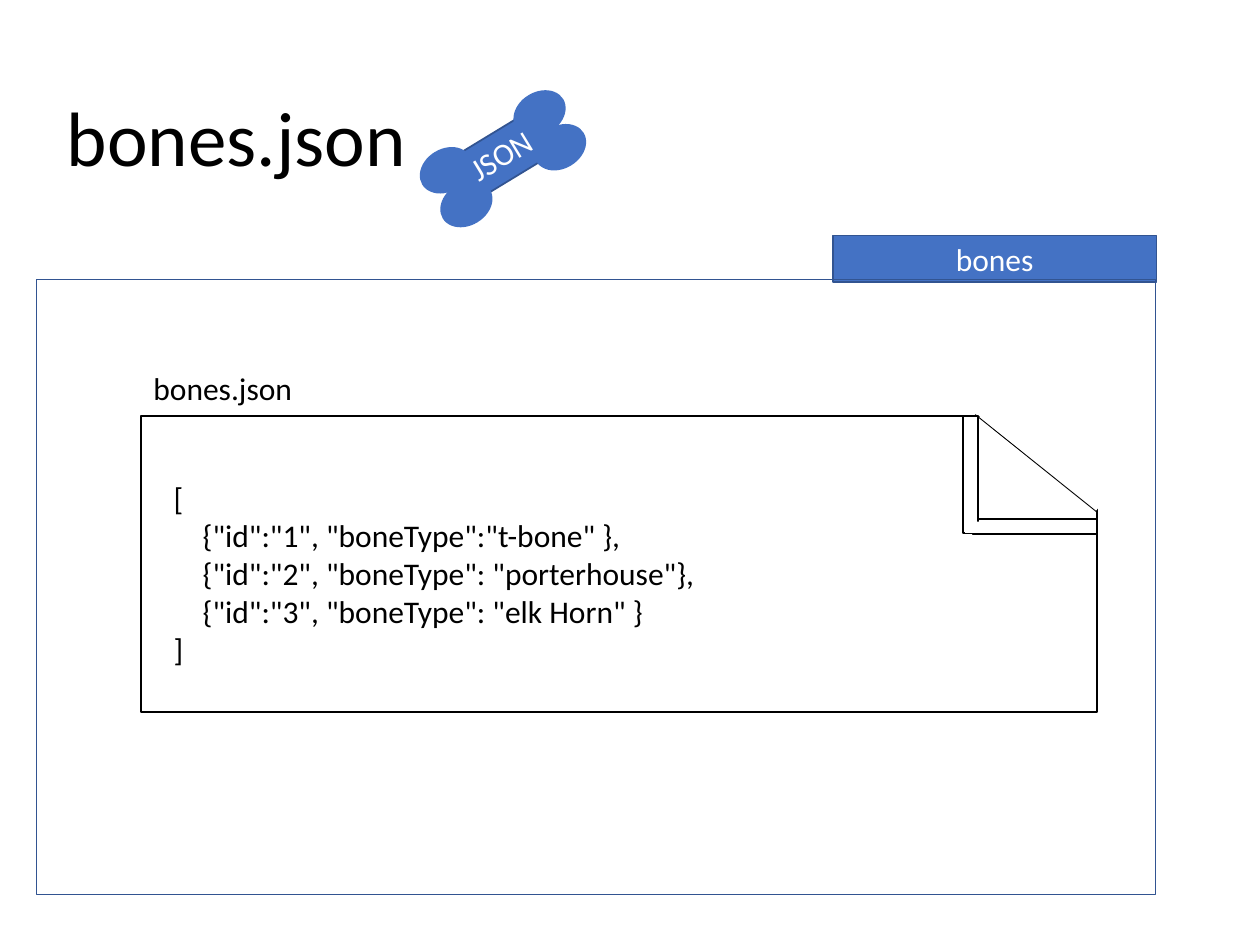
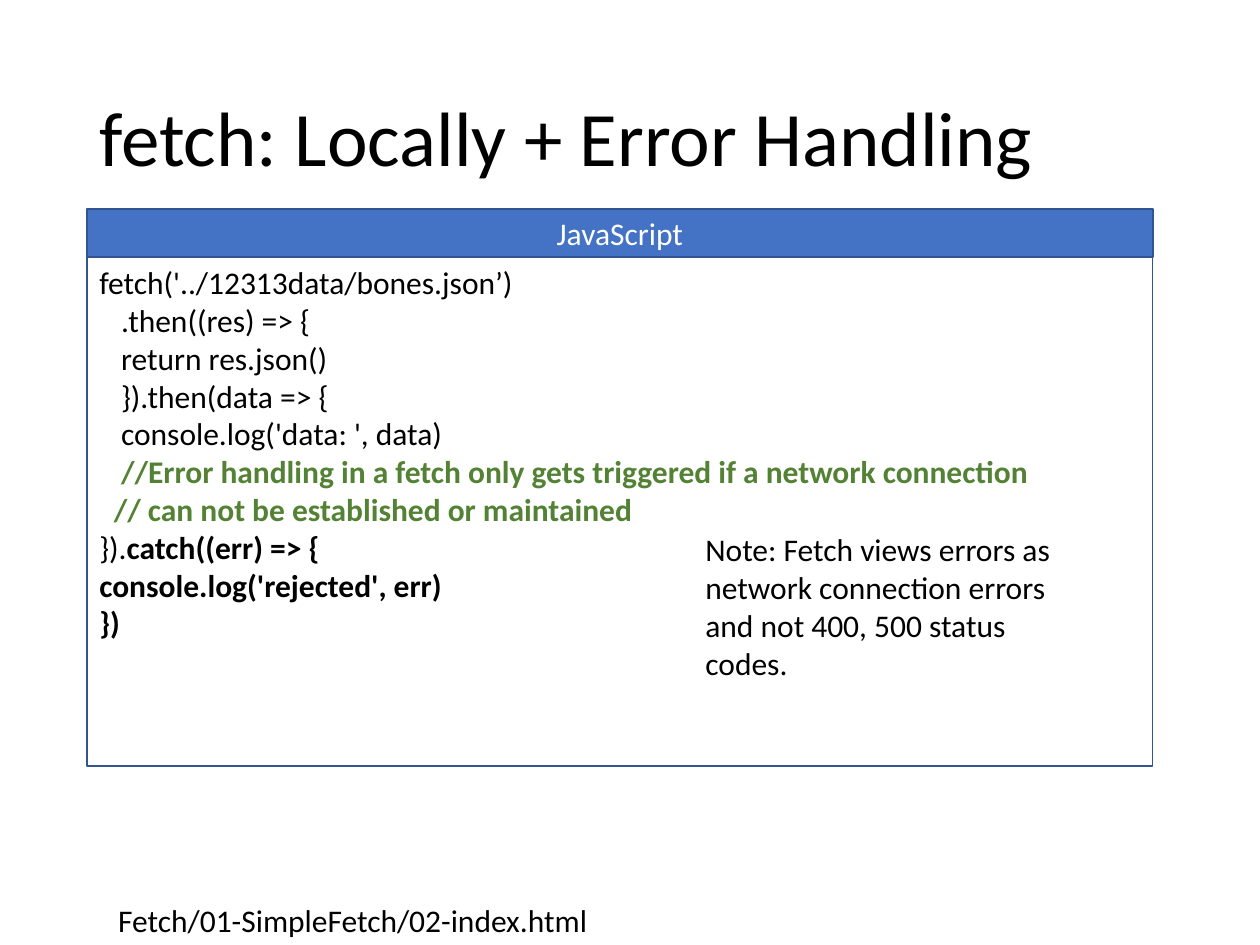
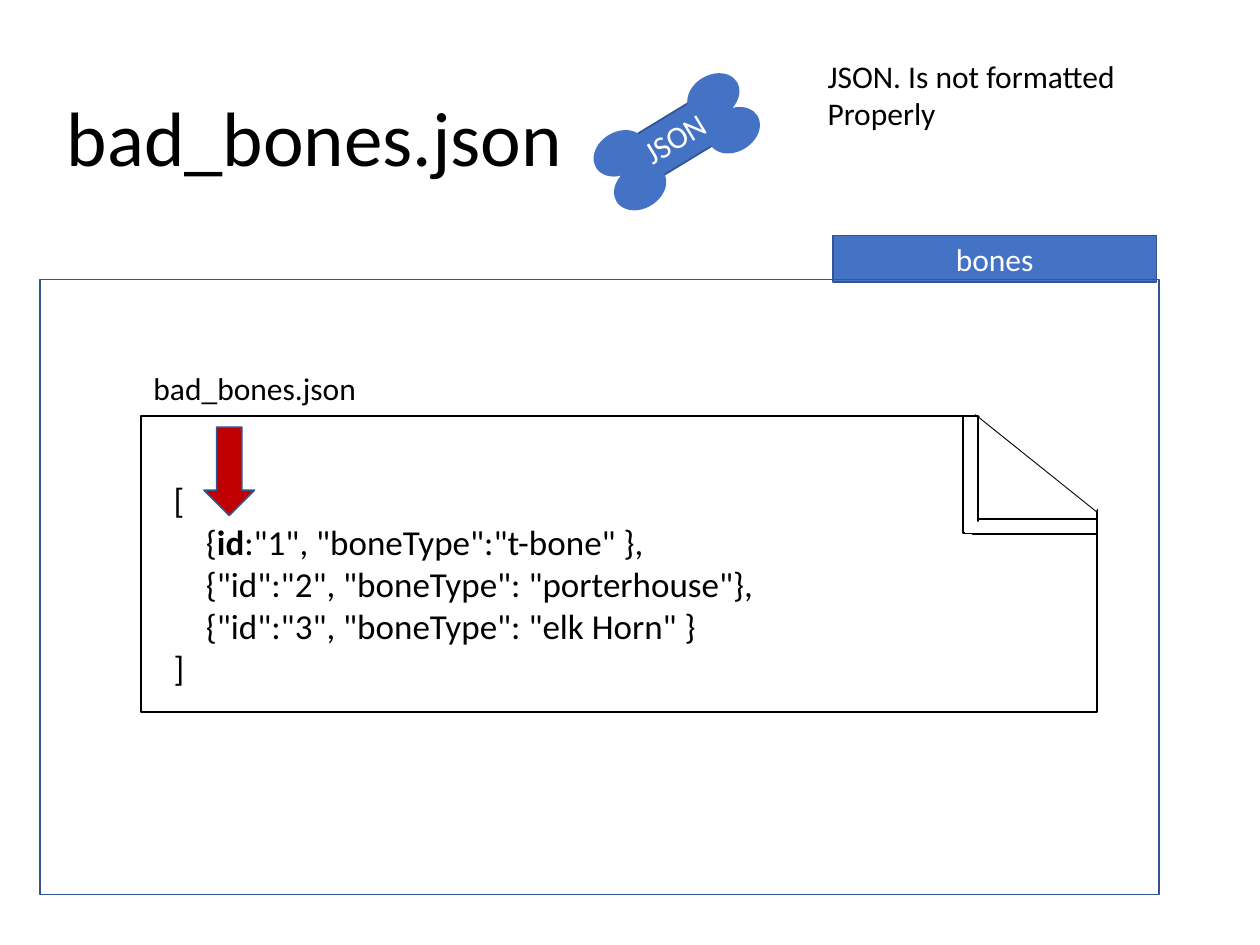
from lxml.etree import SubElement
from pptx import Presentation
from pptx.dml.color import RGBColor
from pptx.enum.shapes import MSO_CONNECTOR as Connector, MSO_SHAPE as Shape
from pptx.enum.text import MSO_ANCHOR as Anchor, PP_ALIGN as Align
from pptx.oxml.ns import qn
from pptx.util import Pt

BLACK = RGBColor(0x00, 0x00, 0x00)
WHITE = RGBColor(0xFF, 0xFF, 0xFF)
BLUE = RGBColor(0x44, 0x72, 0xC4)
NAVY = RGBColor(0x32, 0x54, 0x91)
GREEN = RGBColor(0x54, 0x82, 0x35)
RED = RGBColor(0xC0, 0x00, 0x00)

FONT = "Calibri"
TEXT_SIZE = 18
TITLE_SIZE = 44
SPACE_WIDTH = 0.23  # width of a space, as a share of the text size
BONE_TILT = 58.7


def plain(text, indent=0):
    """A line of code: its indent in characters, then its spans."""
    return indent, [(text, False, BLACK)]


class SlideBuilder:
    def __init__(self):
        self.deck = Presentation()
        self.deck.slide_width, self.deck.slide_height = Pt(720), Pt(540)
        self.page = None
        self.shapes = None

    def new_page(self, title, left, width):
        self.page = self.deck.slides.add_slide(self.deck.slide_layouts[5])
        self.shapes = self.page.shapes
        box = self.page.shapes.title
        box.left, box.top, box.width, box.height = Pt(left), Pt(28.8), Pt(width), Pt(104.4)
        box.text_frame.vertical_anchor = Anchor.MIDDLE
        self.add_lines(box.text_frame, [plain(title)], size=TITLE_SIZE)
        box.text_frame.paragraphs[0].line_spacing = 0.9

    def start_group(self):
        self.shapes = self.page.shapes.add_group_shape().shapes

    def end_group(self):
        self.shapes = self.page.shapes

    def add_lines(self, frame, lines, size=TEXT_SIZE, align=Align.LEFT):
        for number, (indent, spans) in enumerate(lines):
            para = frame.paragraphs[0] if number == 0 else frame.add_paragraph()
            para.alignment = align
            if indent:
                margin = Pt(indent * size * SPACE_WIDTH)
                para._p.get_or_add_pPr().set("marL", str(margin))
            for text, bold, colour in spans:
                span = para.add_run()
                span.text = text
                span.font.name = FONT
                span.font.size = Pt(size)
                span.font.bold = bold
                span.font.color.rgb = colour

    def shape(self, left, top, width, height, kind=Shape.RECTANGLE,
              fill=None, line=None, weight=1, turn=0):
        box = self.shapes.add_shape(kind, Pt(left), Pt(top), Pt(width), Pt(height))
        box.shadow.inherit = False
        box.rotation = turn
        if fill is None:
            box.fill.background()
        else:
            box.fill.solid()
            box.fill.fore_color.rgb = fill
        if line is None:
            box.line.fill.background()
        else:
            box.line.color.rgb = line
            box.line.width = Pt(weight)
        return box

    def text(self, left, top, width, height, lines, size=TEXT_SIZE,
             align=Align.LEFT, wrap=True, turn=0):
        box = self.shapes.add_textbox(Pt(left), Pt(top), Pt(width), Pt(height))
        box.rotation = turn
        box.text_frame.word_wrap = wrap
        self.add_lines(box.text_frame, lines, size, align)

    def line(self, x1, y1, x2, y2, weight):
        edge = self.shapes.add_connector(Connector.STRAIGHT, Pt(x1), Pt(y1), Pt(x2), Pt(y2))
        edge.line.color.rgb = BLACK
        edge.line.width = Pt(weight)
        SubElement(edge._element.spPr, qn("a:effectLst"))

    def banner(self, left, top, width, height, label):
        box = self.shape(left, top, width, height, fill=BLUE, line=NAVY)
        box.text_frame.vertical_anchor = Anchor.MIDDLE
        self.add_lines(box.text_frame, [(0, [(label, False, WHITE)])], align=Align.CENTER)

    def bone(self, x, y):
        """A tilted bone centred on x, y."""
        self.start_group()
        self.shape(x - 12.2, y - 33.1, 28, 60.5, fill=BLUE, line=NAVY, turn=BONE_TILT)
        for across, down in ((20.9, -25.9), (32.6, -6.6), (-32.6, 6.6), (-20.9, 25.9)):
            self.shape(x + across - 12.2, y + down - 15.8, 24.4, 31.6,
                       Shape.OVAL, fill=BLUE, turn=BONE_TILT)
        self.text(x - 48.2, y - 16.6, 93.6, 28.8, [(0, [("JSON", False, WHITE)])],
                  align=Align.CENTER, turn=BONE_TILT - 90)
        self.end_group()

    def folded_sheet(self):
        self.start_group()
        self.shape(80.6, 237.6, 546.5, 169.2, line=BLACK)
        self.shape(564.5, 216.7, 88.6, 54, fill=WHITE, turn=39.8)
        self.shape(555.8, 296.6, 71.3, 8.6, line=BLACK)
        self.line(557.3, 236.9, 626.4, 292.3, 0.5)
        self.shape(550.1, 237.6, 8.6, 67, fill=WHITE, line=BLACK)
        self.shape(551.5, 298.1, 21.6, 6.5, fill=WHITE)
        self.end_group()

    def json_page(self, name, bone_at, frame_left, first_record, size=TEXT_SIZE):
        """A bones folder that holds one JSON file."""
        self.new_page(name, 31, 639.4)
        self.bone(*bone_at)
        self.banner(475.9, 134.6, 185, 26.6, "bones")
        self.folded_sheet()
        self.text(92.2, 270, 496.8, 128, [
            plain("["),
            (4, first_record),
            plain('{"id":"2", "boneType": "porterhouse"},', 4),
            plain('{"id":"3", "boneType": "elk Horn" }', 4),
            plain("]"),
        ], size)
        self.shape(frame_left, 159.8, 639.4, 351.4, line=NAVY)
        self.text(80.6, 207.4, 138.2, 28.8, [plain(name)])


def main():
    builder = SlideBuilder()

    # Well-formed file
    builder.json_page("bones.json", (287.4, 90.7), 20.9,
                      [('{"id":"1", "boneType":"t-bone" },', False, BLACK)])

    # Fetch code with error handling
    builder.new_page("fetch: Locally + Error Handling", 49.7, 620.6)
    code = builder.shape(49.7, 146.9, 609.1, 290.9, line=NAVY, weight=0.75)
    code.text_frame.vertical_anchor = Anchor.TOP
    builder.add_lines(code.text_frame, [
        plain("fetch('../12313data/bones.json’)"),
        plain(".then((res) => {", 3),
        plain("return res.json()", 3),
        plain("}).then(data => {", 3),
        plain("console.log('data: ', data)", 3),
        (3, [("//Error handling in a fetch only gets triggered if a network connection",
              True, GREEN)]),
        (2, [("// can not be established or maintained", True, GREEN)]),
        (0, [("}).", False, BLACK), ("catch((err) => {", True, BLACK)]),
        (0, [("console.log('rejected', err)", True, BLACK)]),
        (0, [("})", True, BLACK)]),
    ])
    builder.banner(49.7, 119.5, 609.1, 27.4, "JavaScript")
    builder.text(60.5, 511.2, 285.8, 28.8,
                 [plain("Fetch/01-SimpleFetch/02-index.html")], wrap=False)
    builder.text(396, 299.5, 212.4, 94.3, [
        plain("Note: Fetch views errors as network connection errors "
              "and not 400, 500 status codes.")])

    # Badly formed file, with an arrow at the unquoted key
    builder.json_page("bad_bones.json", (386.7, 81), 23, [
        ("{", False, BLACK),
        ("id", True, BLACK),
        (':"1", "boneType":"t-bone" },', False, BLACK),
    ], size=20)
    builder.text(465.8, 28.8, 178.6, 51.1, [plain("JSON. Is not formatted Properly")])
    builder.shape(116.6, 244.1, 28.8, 50.4, Shape.UP_ARROW, fill=RED, line=NAVY, turn=180)

    builder.deck.save("out.pptx")


if __name__ == "__main__":
    main()
